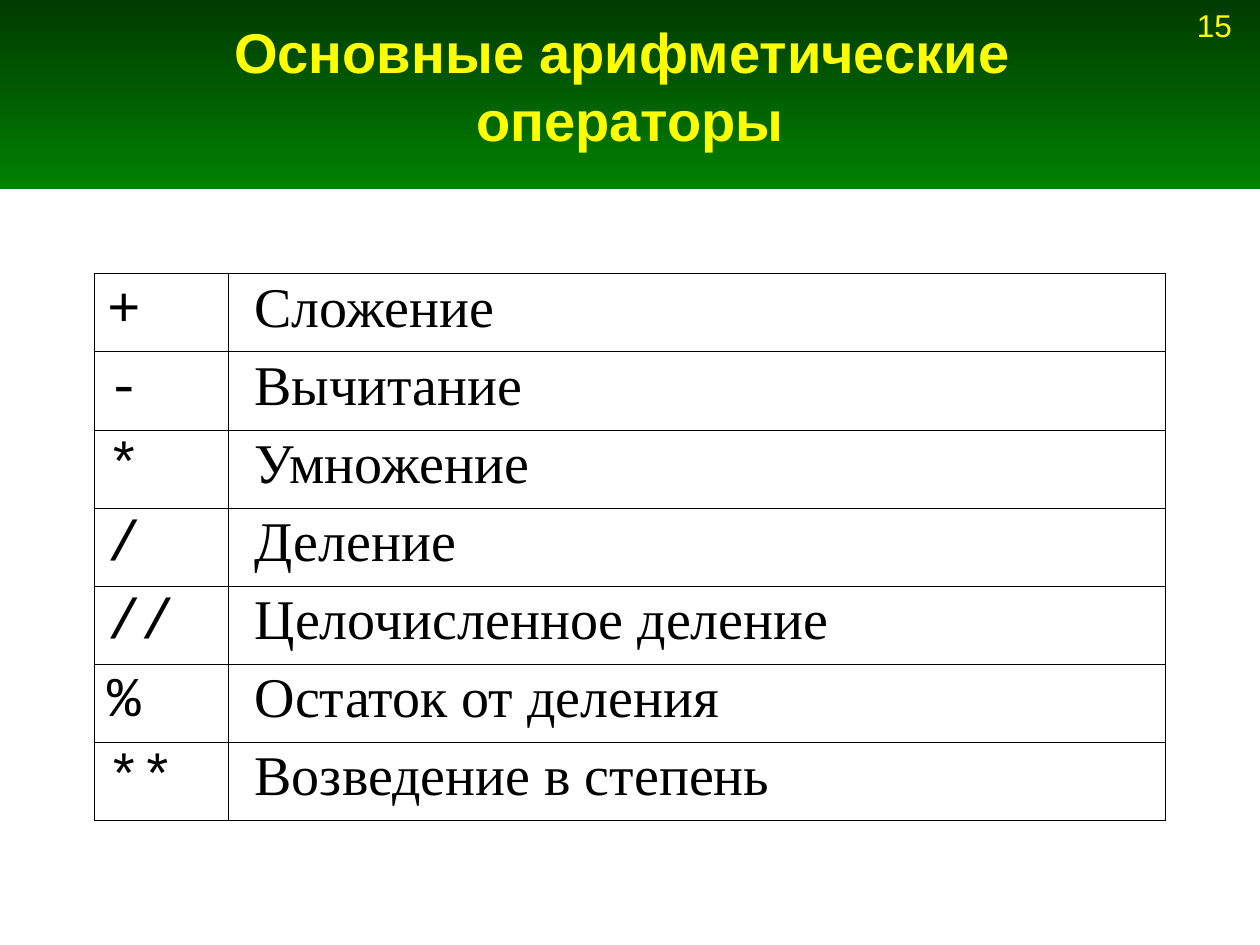
import pptx
import pptx.dml.color
import pptx.enum.shapes
import pptx.enum.text
import pptx.oxml.ns
import pptx.util
from dataclasses import dataclass
from lxml import etree

Pt = pptx.util.Pt
RGB = pptx.dml.color.RGBColor.from_string
Align = pptx.enum.text.PP_ALIGN
Anchor = pptx.enum.text.MSO_ANCHOR


@dataclass(frozen=True)
class Theme:
    band_top: str = "003B00"
    band_bottom: str = "008000"
    heading: str = "FFFF00"
    ink: str = "000000"
    heading_font: str = "Arial"
    code_font: str = "Courier New"
    body_font: str = "Times New Roman"
    large: int = 32
    small: int = 18
    border: float = 0.06


THEME = Theme()
OPERATORS = [
    ("+", "Сложение"),
    ("-", "Вычитание"),
    ("*", "Умножение"),
    ("/", "Деление"),
    ("//", "Целочисленное деление"),
    ("%", "Остаток от деления"),
    ("**", "Возведение в степень"),
]


def style_text(frame, font, size, color, bold=False, align=Align.LEFT):
    for paragraph in frame.paragraphs:
        paragraph.alignment = align
        for run in paragraph.runs:
            run.font.name = font
            run.font.size = Pt(size)
            run.font.bold = bold
            run.font.color.rgb = RGB(color)


def add_band(slide, width, height):
    band = slide.shapes.add_shape(
        pptx.enum.shapes.MSO_SHAPE.RECTANGLE, 0, 0, width, height)
    band.shadow.inherit = False
    band.line.fill.background()
    band.fill.gradient()
    band.fill.gradient_angle = 270  # counted counter-clockwise: top to bottom
    for stop, color in zip(band.fill.gradient_stops,
                           (THEME.band_top, THEME.band_bottom)):
        stop.color.rgb = RGB(color)


def add_heading(slide, text, box, size, anchor=Anchor.TOP, **style):
    frame = slide.shapes.add_textbox(*map(Pt, box)).text_frame
    frame.word_wrap = True
    frame.vertical_anchor = anchor
    frame.text = text
    style_text(frame, THEME.heading_font, size, THEME.heading, **style)


def draw_borders(cell):
    properties = cell._tc.get_or_add_tcPr()
    qn = pptx.oxml.ns.qn
    for side in ("a:lnL", "a:lnR", "a:lnT", "a:lnB"):
        line = etree.SubElement(properties, qn(side), w=str(Pt(THEME.border)))
        fill = etree.SubElement(line, qn("a:solidFill"))
        etree.SubElement(fill, qn("a:srgbClr"), val=THEME.ink)


def fill_cell(cell, text, font, left_margin):
    draw_borders(cell)
    cell.fill.background()
    cell.margin_left = Pt(left_margin)
    cell.text = text
    style_text(cell.text_frame, font, THEME.large, THEME.ink,
               align=Align.JUSTIFY)
    cell.text_frame.paragraphs[0].line_spacing = 0.95


def add_operator_table(slide, left, top, column_widths, row_height):
    table = slide.shapes.add_table(
        len(OPERATORS), len(column_widths), Pt(left), Pt(top),
        Pt(sum(column_widths)), Pt(row_height * len(OPERATORS))).table
    table.first_row = table.horz_banding = False
    for column, width in zip(table.columns, column_widths):
        column.width = Pt(width)
    for row, (symbol, meaning) in zip(table.rows, OPERATORS):
        row.height = Pt(row_height)
        fill_cell(row.cells[0], symbol, THEME.code_font, 7.2)
        fill_cell(row.cells[1], meaning, THEME.body_font, 15.2)


def main():
    deck = pptx.Presentation()
    deck.slide_width, deck.slide_height = Pt(720), Pt(540)
    slide = deck.slides.add_slide(deck.slide_layouts[6])

    # Header band with slide number and title
    add_band(slide, deck.slide_width, Pt(108))
    add_heading(slide, "15", (676.8, 0, 43.2, 28.8), THEME.small)
    add_heading(slide, "Основные арифметические \vоператоры",
                (54, 3.6, 612, 90), THEME.large, Anchor.MIDDLE,
                bold=True, align=Align.CENTER)

    # Operators and their meanings
    add_operator_table(slide, 54, 156.24, (76.32, 535.68), 44.64)

    deck.save("out.pptx")


if __name__ == "__main__":
    main()
